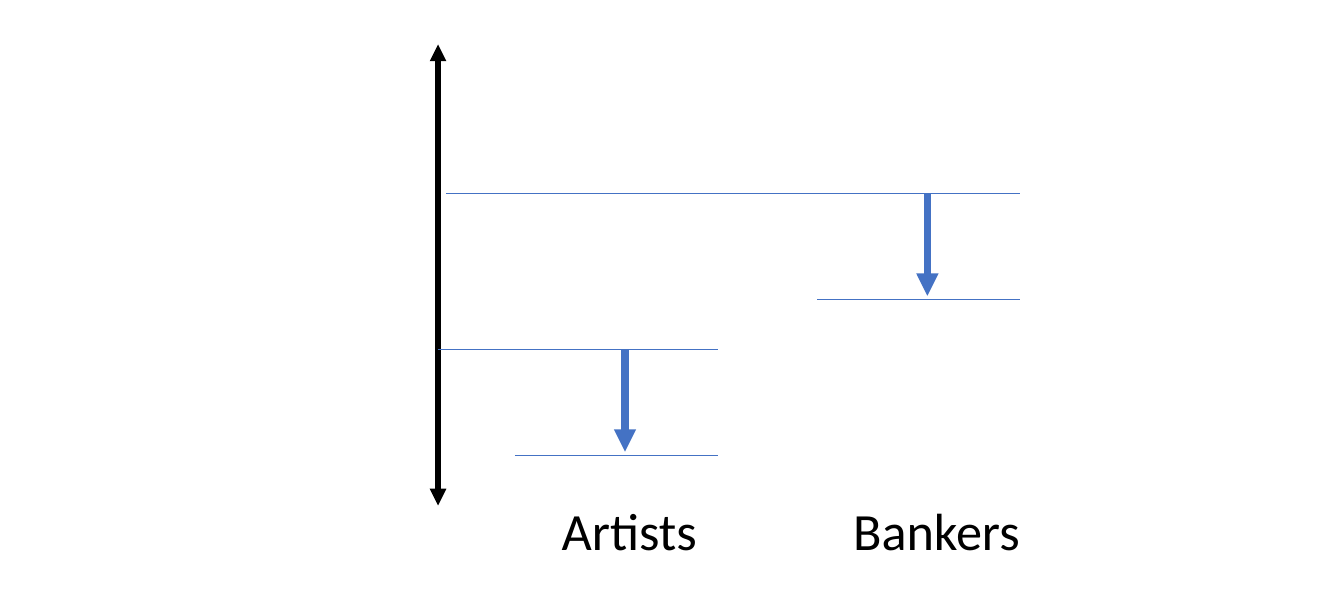
from lxml import etree
from pptx import Presentation
from pptx.dml.color import RGBColor
from pptx.enum.shapes import MSO_CONNECTOR
from pptx.enum.text import MSO_AUTO_SIZE
from pptx.oxml.ns import qn
from pptx.util import Pt

STRAIGHT = MSO_CONNECTOR.STRAIGHT
FIT_SHAPE = MSO_AUTO_SIZE.SHAPE_TO_FIT_TEXT

BLACK = "000000"
BLUE = "4472C4"

AXIS_X, AXIS_TOP, AXIS_BOTTOM = 234.7, 23.8, 270.7
DROP = 56.9
ARROW_LENGTH = 54.7
LOWER_WIDTH = 108.7
ARROW_INSET = 49.7
LABEL_TOP, LABEL_HEIGHT = 263.5, 41

# name, level, left end of upper line, right end, label left, label width
GROUPS = [
    ("Artists", 187.2, AXIS_X, 384.5, 293.8, 87.8),
    ("Bankers", 103.7, 239, 546.5, 450, 105.1),
]


def color(hex_code):
    return RGBColor.from_string(hex_code)


def write_text(text_frame, text, *, size=28, font="Calibri", fill=BLACK):
    paragraph = text_frame.paragraphs[0]
    run = paragraph.add_run()
    run.text = text
    run.font.size = Pt(size)
    run.font.name = font
    run.font.color.rgb = color(fill)


class Diagram:
    """Holds the slide and the shared look of its lines and labels."""

    def __init__(self, slide):
        self.slide = slide

    def line(self, start, end, hex_code=BLUE, width=0.5, arrowheads=()):
        """Draw a line; arrowheads lists headEnd (start) and/or tailEnd (end)."""
        connector = self.slide.shapes.add_connector(
            STRAIGHT, *(Pt(value) for value in (*start, *end)))
        connector.line.color.rgb = color(hex_code)
        connector.line.width = Pt(width)
        properties = connector._element.spPr
        outline = properties.find(qn("a:ln"))
        for tag in arrowheads:
            etree.SubElement(outline, qn(f"a:{tag}"), type="triangle")
        etree.SubElement(properties, qn("a:effectLst"))

    def label(self, text, left, top, width, height):
        box = self.slide.shapes.add_textbox(Pt(left), Pt(top), Pt(width), Pt(height))
        box.text_frame.word_wrap = False
        box.text_frame.auto_size = FIT_SHAPE
        write_text(box.text_frame, text)

    def group(self, name, level, left, right, label_left, label_width):
        """Draw an upper level, a lower level, the fall between them and a name."""
        lower = level + DROP
        arrow_x = right - ARROW_INSET
        self.line((left, level), (right, level))
        self.line((right - LOWER_WIDTH, lower), (right, lower))
        self.line((arrow_x, level), (arrow_x, level + ARROW_LENGTH),
                  width=4, arrowheads=["tailEnd"])
        self.label(name, label_left, LABEL_TOP, label_width, LABEL_HEIGHT)


def main():
    presentation = Presentation()
    presentation.slide_width, presentation.slide_height = Pt(720), Pt(324)
    slide = presentation.slides.add_slide(presentation.slide_layouts[6])
    diagram = Diagram(slide)
    diagram.line((AXIS_X, AXIS_BOTTOM), (AXIS_X, AXIS_TOP), BLACK, 3,
                 arrowheads=["headEnd", "tailEnd"])
    for group in GROUPS:
        diagram.group(*group)
    presentation.save("out.pptx")


if __name__ == "__main__":
    main()
